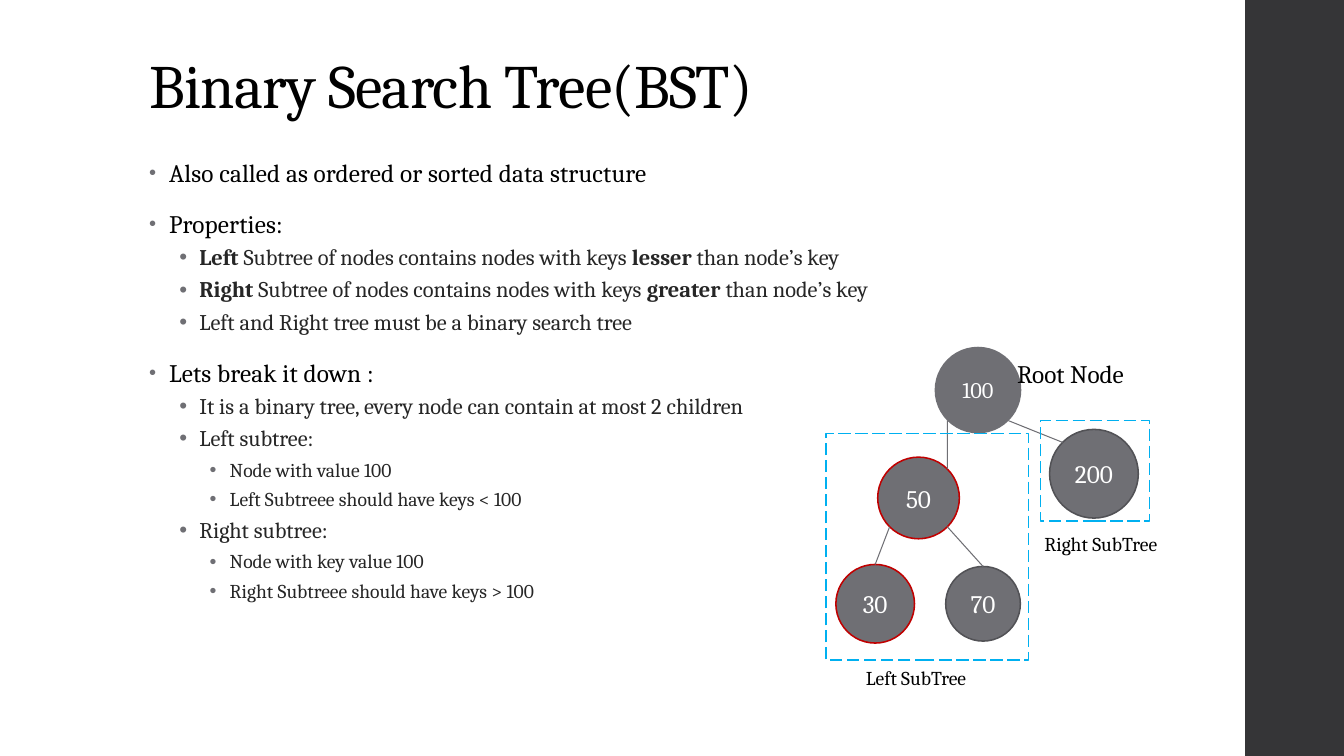
import math

import pptx
import pptx.dml.color
import pptx.enum.dml
import pptx.enum.shapes
import pptx.enum.text
import pptx.oxml
import pptx.oxml.ns
import pptx.util

Inches, Pt = pptx.util.Inches, pptx.util.Pt
RGBColor = pptx.dml.color.RGBColor
SHAPE = pptx.enum.shapes.MSO_SHAPE
ANCHOR = pptx.enum.text.MSO_ANCHOR
ALIGN = pptx.enum.text.PP_ALIGN

BLACK = RGBColor(0x00, 0x00, 0x00)
WHITE = RGBColor(0xFF, 0xFF, 0xFF)
CHARCOAL = RGBColor(0x35, 0x35, 0x37)
INK = RGBColor(0x26, 0x26, 0x26)
GRAY = RGBColor(0x6F, 0x6F, 0x74)
DARK_GRAY = RGBColor(0x52, 0x52, 0x56)
RED = RGBColor(0xC0, 0x00, 0x00)
BLUE = RGBColor(0x00, 0xB0, 0xF0)
FONT = "Cambria"

# Outline level, then text in which *asterisks* enclose bold words
OUTLINE = [
    (0, "Also called as ordered or sorted data structure"),
    (0, "Properties:"),
    (1, "*Left *Subtree of nodes contains nodes with keys *lesser* than node’s key"),
    (1, "*Right *Subtree of nodes contains nodes with keys *greater *than node’s key"),
    (1, "Left and Right tree must be a binary search tree"),
    (0, "Lets break it down :"),
    (1, "It is a binary tree, every node can contain at most 2 children"),
    (1, "Left subtree:"),
    (2, "Node with value 100"),
    (2, "Left Subtreee should have keys < 100"),
    (1, "Right subtree:"),
    (2, "Node with key value 100"),
    (2, "Right Subtreee should have keys > 100"),
]
LEVELS = [
    dict(size=18, color=BLACK, spc=10, bullet=80, line_spacing=0.95, space_before=Pt(14), space_after=Pt(2)),
    dict(size=16, color=INK, spc=0, bullet=100, line_spacing=0.9, space_before=Pt(3), space_after=Pt(3)),
    dict(size=14, color=INK, spc=0, bullet=100, line_spacing=0.9, space_before=Pt(3), space_after=Pt(3)),
]

# Key: centre x, centre y and diameter within the tree, outline, text size
NODES = {
    "100": (1.51, 0.43, 0.86, None, 16),
    "50": (0.92, 1.5, 0.81, RED, 18),
    "30": (0.49, 2.55, 0.78, RED, 18),
    "70": (1.56, 2.55, 0.74, DARK_GRAY, 18),
    "200": (2.66, 1.26, 0.88, DARK_GRAY, 18),
}
# Parent and its angle, child and its angle, in degrees clockwise from the right
EDGES = [("100", 135, "50", -45), ("100", 45, "200", -135),
         ("50", 135, "30", -90), ("50", 45, "70", -90)]
SUBTREES = [(0, 0.86, 2.01, 2.25), (2.13, 0.73, 1.08, 1)]
LABELS = [("Root Node", 1.8, 0.07, 1.41, 0.4, 18),
          ("Left SubTree", 0.3, 3.12, 1.4, 0.34, 14),
          ("Right SubTree", 2.07, 1.79, 1.53, 0.34, 14)]


def add_run(p, text, size, color, bold=False, spc=0):
    r = p.add_run()
    r.text = text
    for name, value in dict(name=FONT, size=Pt(size), bold=bold).items():
        setattr(r.font, name, value)
    r.font.color.rgb = color
    if spc:
        r.font._element.set("spc", str(spc))


def add_text_box(s, left, top, width, height):
    tf = s.shapes.add_textbox(*map(Inches, (left, top, width, height))).text_frame
    tf.word_wrap = True
    return tf


def add_plain_shape(s, kind, box, fill=None, line=None):
    sp = s.shapes.add_shape(kind, *map(Inches, box))
    sp.shadow.inherit = False
    if fill is None:
        sp.fill.background()
    else:
        sp.fill.solid()
        sp.fill.fore_color.rgb = fill
    if line is None:
        sp.line.fill.background()
    else:
        sp.line.color.rgb = line
        sp.line.width = Pt(1.1)
    return sp


def set_title(s, left, top, width, height):
    title = s.shapes.title
    for name, value in dict(left=left, top=top, width=width, height=height).items():
        setattr(title, name, Inches(value))
    tf = title.text_frame
    tf.auto_size = pptx.enum.text.MSO_AUTO_SIZE.NONE
    tf.vertical_anchor = ANCHOR.BOTTOM
    p = tf.paragraphs[0]
    p.alignment, p.line_spacing = ALIGN.LEFT, 0.9
    add_run(p, "Binary Search Tree(BST)", 44, BLACK, spc=-50)


def add_bullet(p, level, percent):
    pPr = p._p.get_or_add_pPr()
    pPr.set("marL", str(Inches(0.2 + 0.3 * level)))
    pPr.set("indent", str(-Inches(0.2)))
    ns = pptx.oxml.ns.nsdecls("a")
    for xml in (f'<a:buClr {ns}><a:srgbClr val="{GRAY}"/></a:buClr>',
                f'<a:buSzPct {ns} val="{percent * 1000}"/>',
                f'<a:buFont {ns} typeface="Arial"/>',
                f'<a:buChar {ns} char="•"/>'):
        pPr.append(pptx.oxml.parse_xml(xml))


def add_outline(s, left, top, width, height):
    tf = add_text_box(s, left, top, width, height)
    for i, (level, text) in enumerate(OUTLINE):
        p = tf.add_paragraph() if i else tf.paragraphs[0]
        style = LEVELS[level]
        p.level = level
        add_bullet(p, level, style["bullet"])
        for name in ("line_spacing", "space_before", "space_after"):
            setattr(p, name, style[name])
        if i == 0:
            p.space_before = Pt(0)
        for j, part in enumerate(text.split("*")):
            if part:
                add_run(p, part, style["size"], style["color"], j % 2 == 1, style["spc"])


def add_node(s, left, top, key):
    x, y, d, line, size = NODES[key]
    sp = add_plain_shape(s, SHAPE.OVAL, (left + x - d / 2, top + y - d / 2, d, d), GRAY, line)
    tf = sp.text_frame
    tf.word_wrap = False
    tf.vertical_anchor = ANCHOR.MIDDLE
    p = tf.paragraphs[0]
    p.alignment = ALIGN.CENTER
    add_run(p, key, size, WHITE)


def rim_point(left, top, key, angle):
    x, y, d = NODES[key][:3]
    a = math.radians(angle)
    return Inches(left + x + d / 2 * math.cos(a)), Inches(top + y + d / 2 * math.sin(a))


def add_edge(s, start, end):
    line = s.shapes.add_connector(pptx.enum.shapes.MSO_CONNECTOR.STRAIGHT, *start, *end)
    line.line.color.rgb = GRAY
    line.line.width = Pt(0.75)
    line._element.spPr.append(pptx.oxml.parse_xml(f'<a:effectLst {pptx.oxml.ns.nsdecls("a")}/>'))


def add_tree(s, left, top):
    for key in NODES:
        add_node(s, left, top, key)
    for parent, out, child, into in EDGES:
        add_edge(s, rim_point(left, top, parent, out), rim_point(left, top, child, into))
    for x, y, w, h in SUBTREES:
        sp = add_plain_shape(s, SHAPE.RECTANGLE, (left + x, top + y, w, h), line=BLUE)
        sp.line.dash_style = pptx.enum.dml.MSO_LINE.LONG_DASH
    for text, x, y, w, h, size in LABELS:
        tf = add_text_box(s, left + x, top + y, w, h)
        add_run(tf.paragraphs[0], text, size, BLACK)


def main():
    prs = pptx.Presentation()
    prs.slide_width, prs.slide_height = Inches(13.33), Inches(7.5)
    s = prs.slides.add_slide(prs.slide_layouts[5])
    add_plain_shape(s, SHAPE.RECTANGLE, (12.35, 0, 0.98, 7.5), CHARCOAL)
    set_title(s, 1.38, 0.4, 10.6, 0.86)
    add_outline(s, 1.38, 1.53, 9.4, 5.23)
    add_tree(s, 8.19, 3.44)
    prs.save("out.pptx")


if __name__ == "__main__":
    main()
